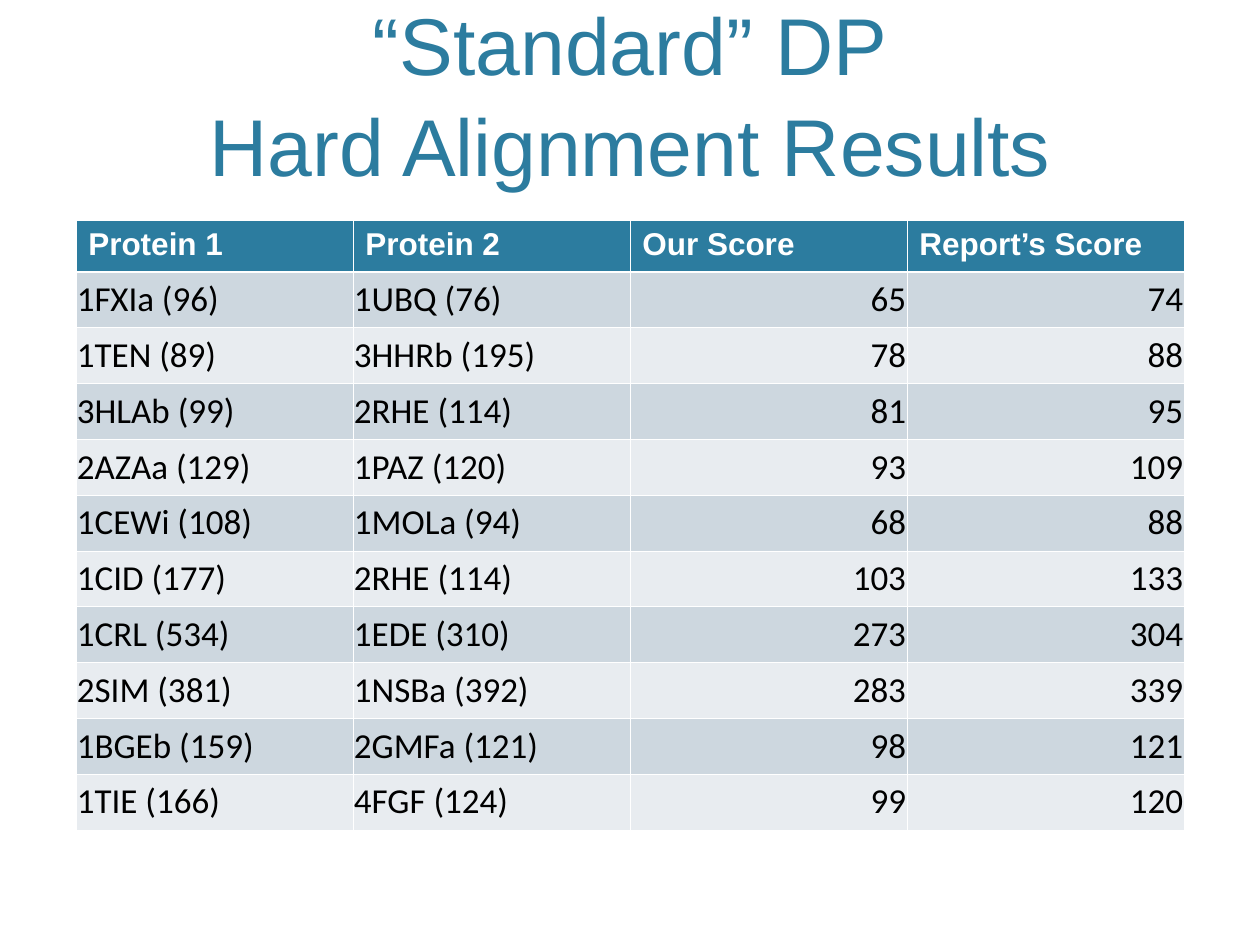
from lxml import etree
from pptx import Presentation
from pptx.dml.color import RGBColor
from pptx.enum.text import MSO_ANCHOR, MSO_AUTO_SIZE, PP_ALIGN
from pptx.oxml.ns import qn
from pptx.util import Cm, Pt

TOP, BOTTOM = MSO_ANCHOR.TOP, MSO_ANCHOR.BOTTOM
LEFT, CENTER, RIGHT = PP_ALIGN.LEFT, PP_ALIGN.CENTER, PP_ALIGN.RIGHT
NO_AUTOFIT = MSO_AUTO_SIZE.NONE
TITLE_ONLY_LAYOUT = 5

COLORS = {
    "teal": "2C7C9F",
    "dark band": "CDD7DF",
    "light band": "E8ECF0",
    "white": "FFFFFF",
    "black": "000000",
}
THIN, THICK = Pt(0.45), Pt(1.47)

HEADERS = ["Protein 1", "Protein 2", "Our Score", "Report’s Score"]
ALIGNMENTS = [
    ("1FXIa (96)", "1UBQ (76)", 65, 74),
    ("1TEN (89)", "3HHRb (195)", 78, 88),
    ("3HLAb (99)", "2RHE (114)", 81, 95),
    ("2AZAa (129)", "1PAZ (120)", 93, 109),
    ("1CEWi (108)", "1MOLa (94)", 68, 88),
    ("1CID (177)", "2RHE (114)", 103, 133),
    ("1CRL (534)", "1EDE (310)", 273, 304),
    ("2SIM (381)", "1NSBa (392)", 283, 339),
    ("1BGEb (159)", "2GMFa (121)", 98, 121),
    ("1TIE (166)", "4FGF (124)", 99, 120),
]


def rgb(name):
    return RGBColor.from_string(COLORS[name])


def set_font(paragraph, name, size, color, bold=False):
    font = paragraph.font
    font.name, font.size, font.bold = name, Pt(size), bold
    font.color.rgb = rgb(color)


def set_borders(cell, top, bottom):
    """Draw white cell borders; must run before the cell gets its fill."""
    properties = cell._tc.get_or_add_tcPr()
    for side, width in (("L", THIN), ("R", THIN), ("T", top), ("B", bottom)):
        line = etree.SubElement(properties, qn(f"a:ln{side}"), w=str(int(width)))
        fill = etree.SubElement(line, qn("a:solidFill"))
        etree.SubElement(fill, qn("a:srgbClr"), val=COLORS["white"])


def add_title(slide, left, top, width, height):
    title = slide.shapes.title
    title.left, title.top, title.width, title.height = left, top, width, height
    frame = title.text_frame
    frame.auto_size = NO_AUTOFIT
    frame.word_wrap = True
    frame.vertical_anchor = BOTTOM
    frame.text = "“Standard” DP\vHard Alignment Results"
    paragraph = frame.paragraphs[0]
    paragraph.alignment = CENTER
    paragraph.line_spacing = 1.05
    set_font(paragraph, "Arial", 46, "teal")


def format_cell(cell, value, row, column):
    is_header = row == 0
    set_borders(cell, THICK if row == 1 else THIN, THICK if is_header else THIN)
    cell.margin_left = cell.margin_right = Cm(0.25 if is_header else 0.02)
    cell.margin_top = cell.margin_bottom = Cm(0.13)
    cell.vertical_anchor = TOP if is_header else BOTTOM
    cell.text = str(value)
    paragraph = cell.text_frame.paragraphs[0]
    paragraph.alignment = RIGHT if isinstance(value, int) else LEFT
    cell.fill.solid()
    if is_header:
        cell.fill.fore_color.rgb = rgb("teal")
        set_font(paragraph, "Arial", 18, "white", bold=True)
    else:
        cell.fill.fore_color.rgb = rgb("dark band" if row % 2 else "light band")
        set_font(paragraph, "Calibri", 20, "black")


def add_score_table(slide, left, top, width, height):
    rows = [HEADERS, *ALIGNMENTS]
    frame = slide.shapes.add_table(len(rows), len(HEADERS), left, top, width, height)
    for row, values in enumerate(rows):
        for column, value in enumerate(values):
            format_cell(frame.table.cell(row, column), value, row, column)


def main():
    presentation = Presentation()
    presentation.slide_width, presentation.slide_height = Cm(25.4), Cm(19.05)
    slide = presentation.slides.add_slide(
        presentation.slide_layouts[TITLE_ONLY_LAYOUT])
    left, width = Cm(1.53), Cm(22.34)
    add_title(slide, left, Cm(0.3), width, Cm(3.71))
    add_score_table(slide, left, Cm(4.45), width, Cm(11.33))
    presentation.save("out.pptx")


if __name__ == "__main__":
    main()
